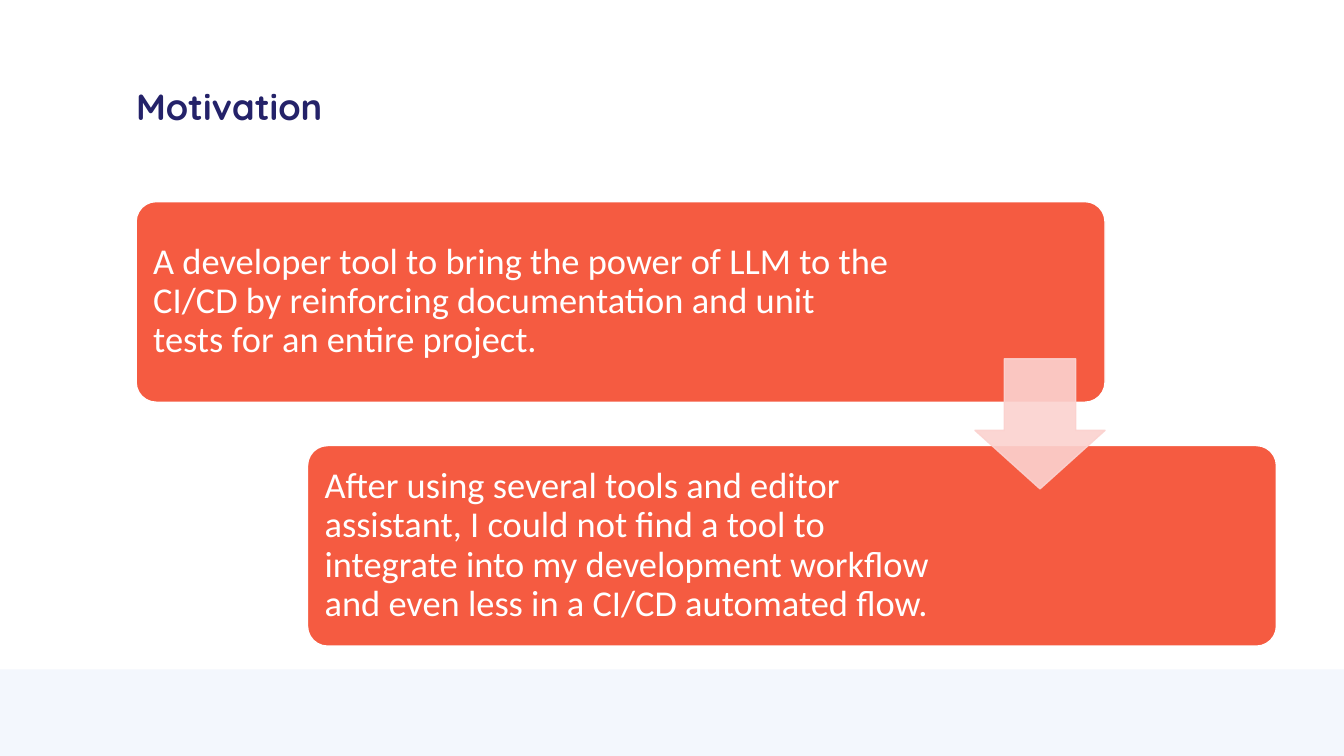
from lxml import etree
from pptx import Presentation
from pptx.dml.color import RGBColor
from pptx.enum.shapes import MSO_SHAPE
from pptx.enum.text import MSO_ANCHOR
from pptx.oxml.ns import qn
from pptx.util import Inches, Pt

RECTANGLE = MSO_SHAPE.RECTANGLE
ROUNDED = MSO_SHAPE.ROUNDED_RECTANGLE
DOWN_ARROW = MSO_SHAPE.DOWN_ARROW
TOP, MIDDLE = MSO_ANCHOR.TOP, MSO_ANCHOR.MIDDLE

WIDTH, HEIGHT = 13.33, 7.5
LEFT_MARGIN = 1.35
CARD_WIDTH, CARD_HEIGHT = 9.61, 1.99
CARD_TOP, STEP_X, STEP_Y = 2, 1.7, 2.42
INSET = 0.06
ARROW_SIZE = 1.29
FOOTER_HEIGHT = 0.86

presentation = Presentation()
presentation.slide_width, presentation.slide_height = Inches(WIDTH), Inches(HEIGHT)
slide = presentation.slides.add_slide(presentation.slide_layouts[6])


def add_block(kind, box, fill, line=None, adjustments=()):
    """Add a flat preset shape at box (left, top, width, height in inches)."""
    shape = slide.shapes.add_shape(kind, *map(Inches, box))
    shape.shadow.inherit = False
    shape.fill.solid()
    shape.fill.fore_color.rgb = RGBColor.from_string(fill)
    if line:
        shape.line.color.rgb = RGBColor.from_string(line)
        shape.line.width = Pt(1)
    else:
        shape.line.fill.background()
    for index, value in enumerate(adjustments):
        shape.adjustments[index] = value
    return shape


def add_text(text, box, font_name, color, margin, anchor, spacing):
    """Add a wrapped 26 pt text box and return its paragraph."""
    frame = slide.shapes.add_textbox(*map(Inches, box)).text_frame
    frame.word_wrap = True
    frame.vertical_anchor = anchor
    frame.margin_left = frame.margin_right = Inches(margin)
    frame.margin_top = frame.margin_bottom = Inches(margin)
    paragraph = frame.paragraphs[0]
    paragraph.text = text
    paragraph.line_spacing = spacing
    paragraph.font.name = font_name
    paragraph.font.size = Pt(26)
    paragraph.font.color.rgb = RGBColor.from_string(color)
    return paragraph


# Footer band and title
add_block(RECTANGLE, (0, HEIGHT - FOOTER_HEIGHT, WIDTH, FOOTER_HEIGHT), "F3F7FD")
title = add_text("Motivation", (LEFT_MARGIN, 0.82, 11.3, 0.85),
                 "Quicksand", "242269", 0, TOP, Pt(32))
title.font.bold = True

# Two staggered cards, each with its text width
cards = [
    ("A developer tool to bring the power of LLM to the CI/CD by reinforcing "
     "documentation and unit tests for an entire project.", 7.55),
    ("After using several tools and editor assistant, I could not find a tool to "
     "integrate into my\u00a0development workflow and even less in a CI/CD "
     "automated flow.", 6.5),
]
for row, (text, text_width) in enumerate(cards):
    left, top = LEFT_MARGIN + row * STEP_X, CARD_TOP + row * STEP_Y
    add_block(ROUNDED, (left, top, CARD_WIDTH, CARD_HEIGHT), "F55B41", "FFFFFF", [0.1])
    text_box = (left + INSET, top + INSET, text_width, CARD_HEIGHT - 2 * INSET)
    add_text(text, text_box, "Calibri", "FFFFFF", 0.11, MIDDLE, 0.9)

# Arrow flush with the first card's right edge, centred on the gap between cards
gap_middle = CARD_TOP + (CARD_HEIGHT + STEP_Y) / 2
arrow = add_block(DOWN_ARROW,
                  (LEFT_MARGIN + CARD_WIDTH - ARROW_SIZE, gap_middle - ARROW_SIZE / 2,
                   ARROW_SIZE, ARROW_SIZE),
                  "FBD2CF", "FBD2CF", [0.55, 0.45])
for color in arrow._element.spPr.iter(qn("a:srgbClr")):
    etree.SubElement(color, qn("a:alpha")).set("val", "90000")

presentation.save("out.pptx")
